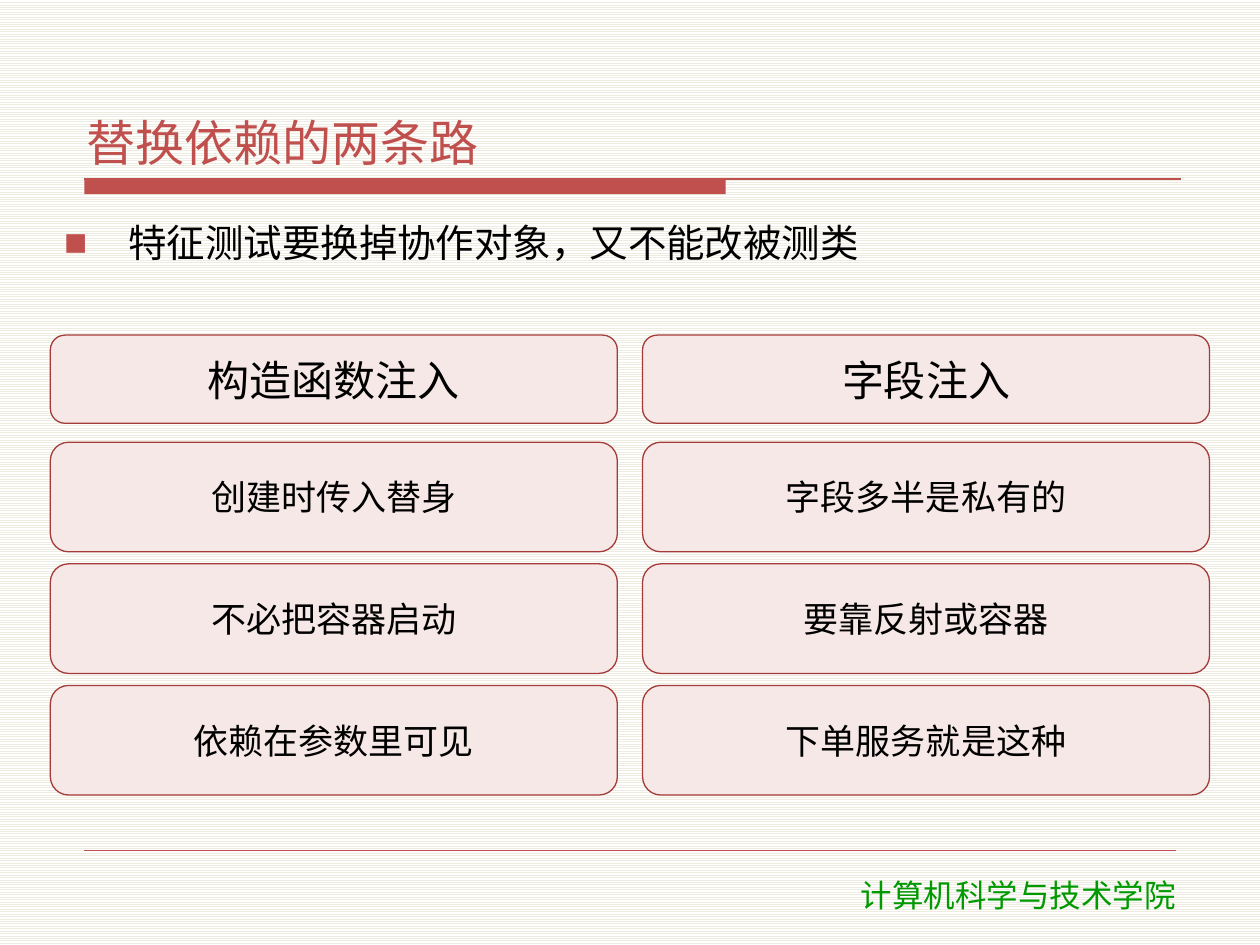
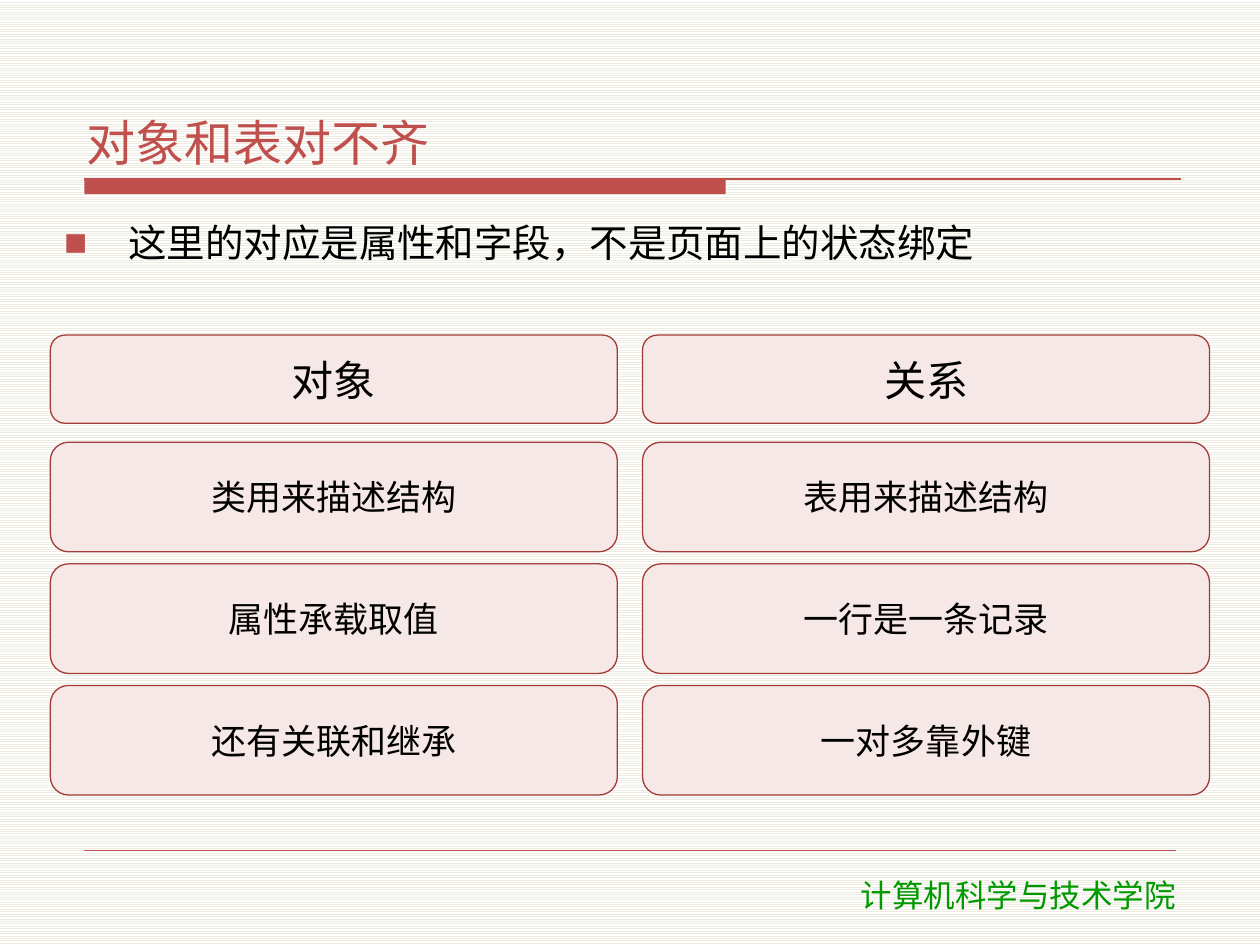
import lxml.etree
import pptx
import pptx.dml.color
import pptx.enum.dml
import pptx.enum.shapes
import pptx.enum.text
import pptx.oxml.ns
import pptx.util

PX = 9144
RED = "C0504D"
BLACK = "000000"
TEXT_FONT = "Noto Sans CJK SC"
ALIGN = pptx.enum.text.PP_ALIGN
ANCHOR = pptx.enum.text.MSO_ANCHOR
CARD_LEFTS = [40, 510]
CARD_WIDTH = 450
HEADING_TOP, HEADING_HEIGHT = 266, 70
ROWS_TOP, ROWS_BOTTOM, ROW_HEIGHT = 351, 631, 87

topics = [
    {
        "title": "替换依赖的两条路",
        "point": "特征测试要换掉协作对象，又不能改被测类",
        "columns": [
            ["构造函数注入", "创建时传入替身", "不必把容器启动", "依赖在参数里可见"],
            ["字段注入", "字段多半是私有的", "要靠反射或容器", "下单服务就是这种"],
        ],
    },
    {
        "title": "对象和表对不齐",
        "point": "这里的对应是属性和字段，不是页面上的状态绑定",
        "columns": [
            ["对象", "类用来描述结构", "属性承载取值", "还有关联和继承"],
            ["关系", "表用来描述结构", "一行是一条记录", "一对多靠外键"],
        ],
    },
]


def rgb(code):
    return pptx.dml.color.RGBColor.from_string(code)


def write(frame, text, size, color, align, anchor, font=TEXT_FONT, insets=(6, 2)):
    frame.text = text
    frame.word_wrap = True
    frame.auto_size = pptx.enum.text.MSO_AUTO_SIZE.NONE
    frame.vertical_anchor = anchor
    frame.margin_left = frame.margin_right = insets[0] * PX
    frame.margin_top = frame.margin_bottom = insets[1] * PX
    paragraph = frame.paragraphs[0]
    paragraph.alignment = align
    paragraph.space_before = pptx.util.Pt(0)
    paragraph.space_after = pptx.util.Pt(2)
    run = paragraph.runs[0]
    run.font.size = pptx.util.Pt(size)
    run.font.color.rgb = rgb(color)
    run.font.name = font
    east_asian = lxml.etree.SubElement(run.font._element, pptx.oxml.ns.qn("a:ea"))
    east_asian.set("typeface", font)
    return paragraph


deck = pptx.Presentation()
deck.slide_width = 1000 * PX
deck.slide_height = 750 * PX
layout = deck.slide_layouts[1]
slides = [deck.slides.add_slide(layout) for topic in topics]

paper = layout.background.fill
paper.patterned()
paper.pattern = pptx.enum.dml.MSO_PATTERN.LIGHT_HORIZONTAL
paper.fore_color.rgb = rgb("EEECE1")
paper.back_color.rgb = rgb("FFFFFF")

drawing = slides[0].shapes
title_bar = drawing.add_shape(
    pptx.enum.shapes.MSO_SHAPE.RECTANGLE, 67 * PX, 142 * PX, 509 * PX, 12 * PX
)
title_bar.shadow.inherit = False
title_bar.fill.solid()
title_bar.fill.fore_color.rgb = rgb(RED)
title_bar.line.fill.background()
shared = [title_bar]

for right, y, weight in [(937, 142, 0.75), (933, 675, 0.25)]:
    rule = drawing.add_connector(
        pptx.enum.shapes.MSO_CONNECTOR.STRAIGHT, 67 * PX, y * PX, right * PX, y * PX
    )
    rule.line.color.rgb = rgb(RED)
    rule.line.width = pptx.util.Pt(weight)
    lxml.etree.SubElement(rule._element.spPr, pptx.oxml.ns.qn("a:effectLst"))
    shared.append(rule)

school = drawing.add_textbox(607 * PX, 690 * PX, 402 * PX, 40 * PX)
write(school.text_frame, "计算机科学与技术学院", 18, "009900",
      ALIGN.CENTER, ANCHOR.TOP, "DejaVu Sans", (10, 5))
shared.append(school)

for part in shared:
    layout.shapes.element.append(part.element)

for slide, topic in zip(slides, topics):
    title = slide.shapes.title
    title.left, title.top, title.width, title.height = 63 * PX, 33 * PX, 875 * PX, 105 * PX
    write(title.text_frame, topic["title"], 28, RED, ALIGN.LEFT, ANCHOR.BOTTOM)

    point = slide.placeholders[1]
    point.left, point.top, point.width, point.height = 45 * PX, 172 * PX, 910 * PX, 86 * PX
    paragraph = write(point.text_frame, topic["point"], 22, BLACK, ALIGN.LEFT, ANCHOR.TOP)
    properties = paragraph._p.get_or_add_pPr()
    properties.set("marL", str(51 * PX))
    properties.set("indent", str(-51 * PX))
    bullet_color = lxml.etree.SubElement(properties, pptx.oxml.ns.qn("a:buClr"))
    lxml.etree.SubElement(bullet_color, pptx.oxml.ns.qn("a:srgbClr")).set("val", RED)
    lxml.etree.SubElement(properties, pptx.oxml.ns.qn("a:buChar")).set("char", "■")

    for row, labels in enumerate(zip(*topic["columns"])):
        if row == 0:
            top, height, size = HEADING_TOP * PX, HEADING_HEIGHT, 24
        else:
            pitch = (ROWS_BOTTOM - ROWS_TOP - ROW_HEIGHT) * PX // 2
            top, height, size = ROWS_TOP * PX + (row - 1) * pitch, ROW_HEIGHT, 20
        for left, label in zip(CARD_LEFTS, labels):
            card = slide.shapes.add_shape(
                pptx.enum.shapes.MSO_SHAPE.ROUNDED_RECTANGLE,
                left * PX, top, CARD_WIDTH * PX, height * PX,
            )
            card.shadow.inherit = False
            card.fill.solid()
            card.fill.fore_color.rgb = rgb("F6E8E6")
            card.line.color.rgb = rgb("A33B38")
            card.line.width = pptx.util.Pt(0.75)
            write(card.text_frame, label, size, BLACK, ALIGN.CENTER, ANCHOR.MIDDLE)

deck.save("out.pptx")
